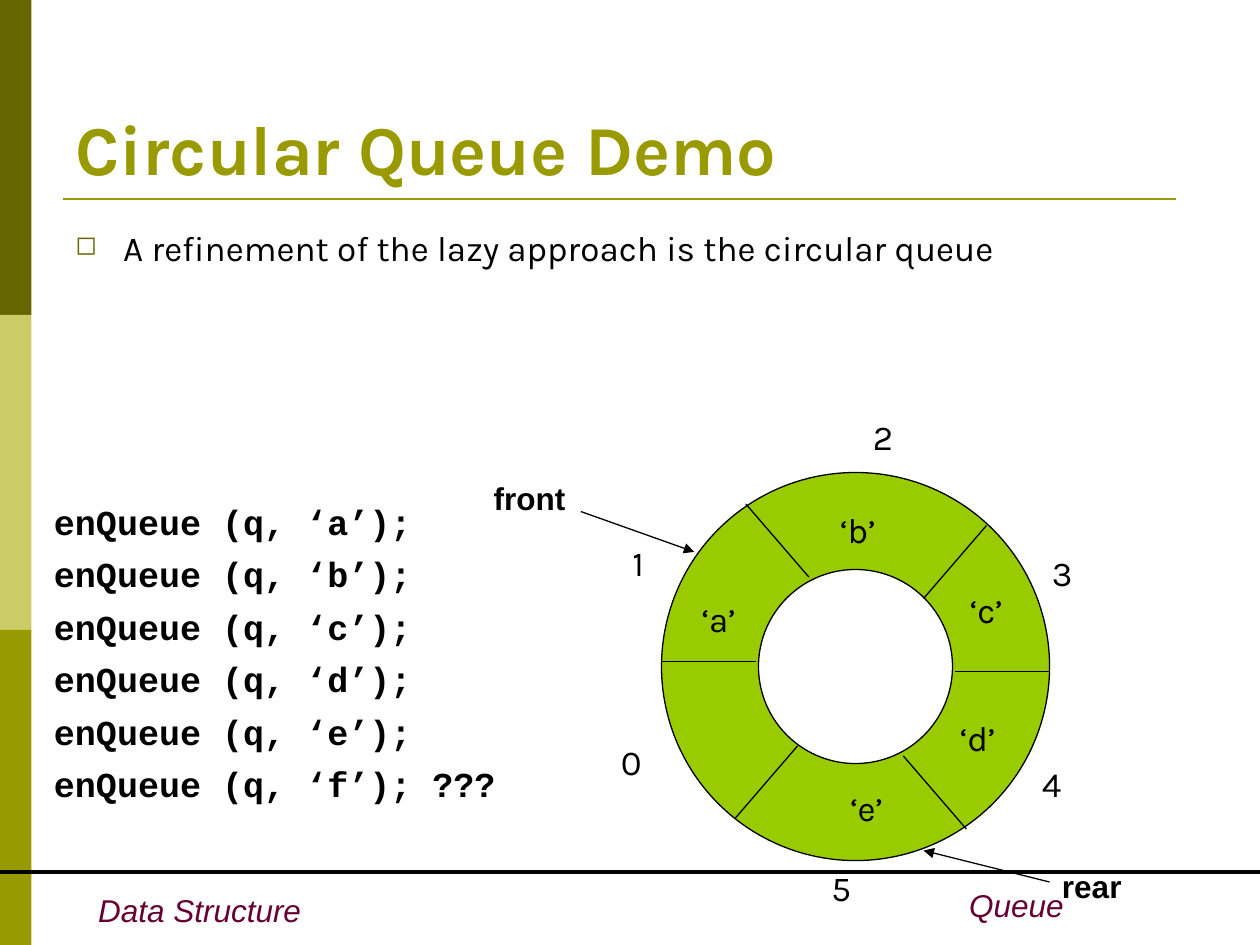
from dataclasses import dataclass

from lxml import etree
from pptx import Presentation
from pptx import util as u
from pptx.dml.color import RGBColor
from pptx.enum import shapes, text
from pptx.oxml.ns import qn

COLORS = {
    "dark": "666600", "pale": "CCCC66", "olive": "999900", "ring": "99CC00",
    "footer": "660033", "black": "000000",
}


@dataclass
class Style:
    font: str
    size: int
    color: str = "black"
    bold: bool = False
    italic: bool = False


@dataclass
class Label:
    text: str
    x: float
    y: float


TITLE = Style("Karla", 40, "olive", bold=True)
BODY = Style("Karla", 20)
CODE = Style("Courier New", 20, bold=True)
POINTER = Style("Arial", 18, bold=True)
FOOTER = Style("Arial", 18, "footer", italic=True)


def rgb(name: str) -> RGBColor:
    return RGBColor.from_string(COLORS[name])


def add_text(s, content: str, x: float, y: float, w: float, h: float,
             style: Style, wrap: bool = True):
    sp = s.shapes.add_textbox(u.Inches(x), u.Inches(y), u.Inches(w), u.Inches(h))
    tf = sp.text_frame
    tf.word_wrap = wrap
    tf.text = content
    font = tf.paragraphs[0].runs[0].font
    font.name, font.size = style.font, u.Pt(style.size)
    font.bold, font.italic = style.bold, style.italic
    font.color.rgb = rgb(style.color)
    return tf


def add_line(s, x1: float, y1: float, x2: float, y2: float,
             color: str = "black", width: float = 0.75, arrow: bool = False) -> None:
    cx = s.shapes.add_connector(shapes.MSO_CONNECTOR.STRAIGHT, u.Inches(x1),
                                u.Inches(y1), u.Inches(x2), u.Inches(y2))
    cx.line.color.rgb = rgb(color)
    cx.line.width = u.Pt(width)
    if arrow:
        etree.SubElement(cx.line._get_or_add_ln(), qn("a:tailEnd"), type="triangle")
    etree.SubElement(cx._element.spPr, qn("a:effectLst"))


def add_shape(s, kind, x: float, y: float, w: float, h: float, fill: str):
    sp = s.shapes.add_shape(kind, u.Inches(x), u.Inches(y), u.Inches(w), u.Inches(h))
    sp.shadow.inherit = False
    sp.fill.solid()
    sp.fill.fore_color.rgb = rgb(fill)
    sp.line.fill.background()
    return sp


def add_bullet(p, char: str, color: str, indent: float) -> None:
    pPr = p._p.get_or_add_pPr()
    pPr.set("marL", str(u.Inches(indent)))
    pPr.set("indent", str(-u.Inches(indent)))
    bu_color = etree.SubElement(pPr, qn("a:buClr"))
    etree.SubElement(bu_color, qn("a:srgbClr"), val=COLORS[color])
    etree.SubElement(pPr, qn("a:buSzPct"), val="75000")
    etree.SubElement(pPr, qn("a:buChar"), char=char)


def draw_frame(s) -> None:
    # Side bands, title rule and footer
    for i, fill in enumerate(("dark", "pale", "olive")):
        add_shape(s, shapes.MSO_SHAPE.RECTANGLE, 0, 2.5 * i, 0.25, 2.5, fill)
    add_line(s, 0.5, 1.58, 9.33, 1.58, "olive", 1.5)
    add_text(s, "Data Structure", 0.68, 7.02, 1.81, 0.4, FOOTER, wrap=False)
    tf = add_text(s, "Queue", 6.97, 6.98, 1.57, 0.4, FOOTER)
    tf.paragraphs[0].alignment = text.PP_ALIGN.RIGHT
    add_line(s, 0, 6.92, 10, 6.92, width=2.25)


def draw_ring(s) -> None:
    ring = add_shape(s, shapes.MSO_SHAPE.DONUT, 5.25, 3.75, 3.08, 3.08, "ring")
    ring.adjustments[0] = 0.25
    ring.line.color.rgb = rgb("black")
    ring.line.width = u.Pt(0.75)

    # Slot dividers
    for ends in ((5.25, 5.25, 6, 5.25), (5.83, 6.5, 6.33, 5.92),
                 (7.58, 5.33, 8.33, 5.33), (7.33, 4.75, 7.83, 4.17),
                 (7.17, 6, 7.67, 6.58), (5.92, 4, 6.42, 4.58)):
        add_line(s, *ends)

    # Slot indexes and stored items
    for label in (Label("0", 4.83, 5.83), Label("1", 4.92, 4.25),
                  Label("2", 6.83, 3.25), Label("3", 8.25, 4.33),
                  Label("4", 8.17, 6), Label("5", 6.5, 6.83),
                  Label("‘a’", 5.47, 4.69), Label("‘b’", 6.57, 3.99),
                  Label("‘c’", 7.6, 4.62), Label("‘d’", 7.52, 5.64),
                  Label("‘e’", 6.65, 6.19)):
        add_text(s, label.text, label.x, label.y, 0.5, 0.44, BODY)

    # Front and rear pointers
    add_text(s, "rear", 8.33, 6.83, 0.75, 0.4, POINTER)
    add_text(s, "front", 3.82, 3.75, 1.08, 0.4, POINTER)
    add_line(s, 4.61, 4.06, 5.51, 4.38, arrow=True)
    add_line(s, 8.33, 7, 7.33, 6.75, arrow=True)


def main() -> None:
    prs = Presentation()
    prs.slide_width, prs.slide_height = u.Inches(10), u.Inches(7.5)
    s = prs.slides.add_slide(prs.slide_layouts[6])
    draw_frame(s)

    # Title and bullet
    tf = add_text(s, "Circular Queue Demo", 0.5, 0.3, 9, 1.25, TITLE)
    tf.vertical_anchor = text.MSO_ANCHOR.BOTTOM
    tf = add_text(s, "A refinement of the lazy approach is the circular queue",
                  0.5, 1.75, 9, 4.95, BODY)
    add_bullet(tf.paragraphs[0], "◻", "dark", 0.38)

    draw_ring(s)

    # Enqueue calls
    for i, item in enumerate("abcdef"):
        suffix = " ???" if item == "f" else ""
        add_text(s, f"enQueue (q, ‘{item}’);{suffix}",
                 0.33, 3.92 + i * 5 / 12, 3.75, 0.44, CODE)

    prs.save("out.pptx")


if __name__ == "__main__":
    main()
